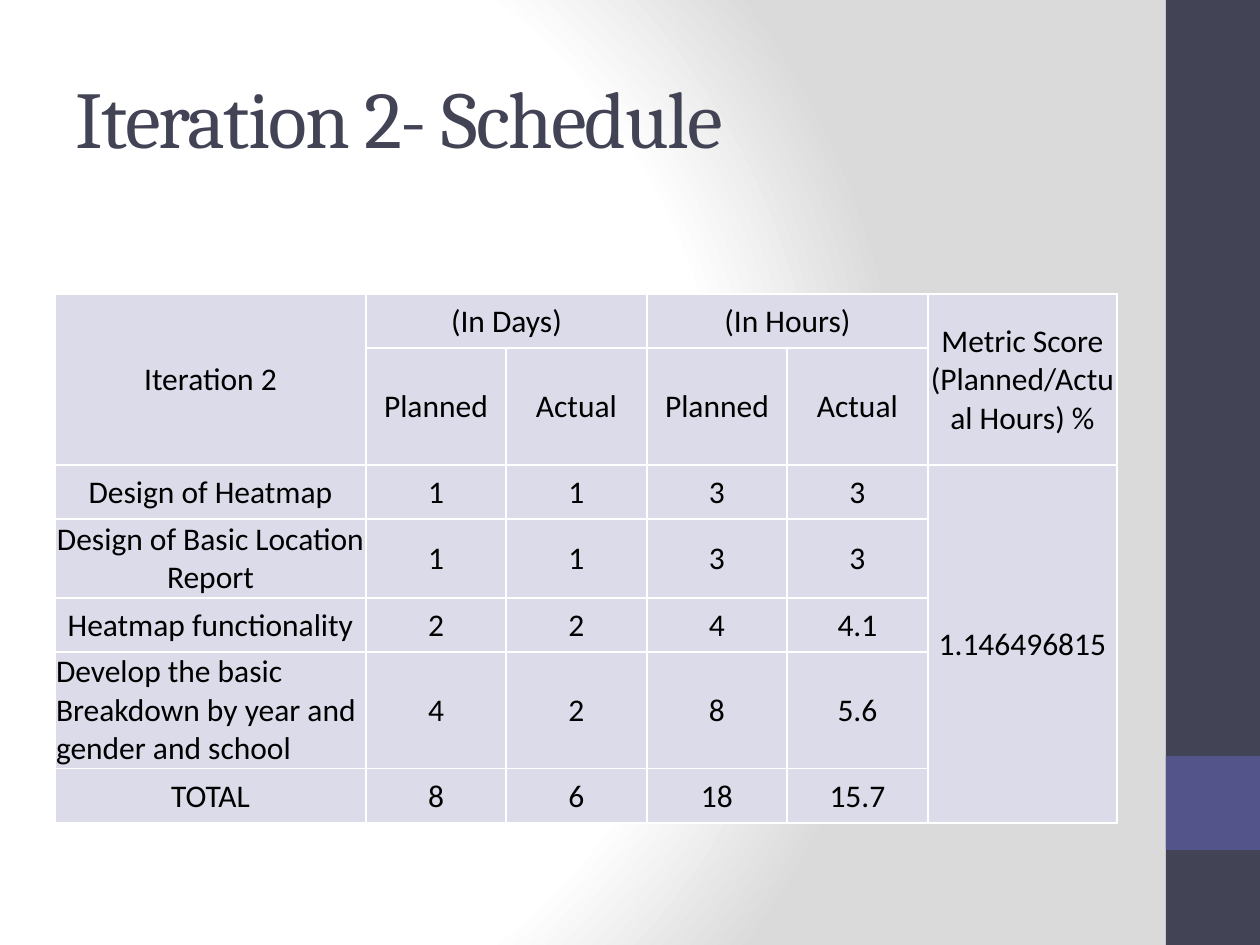
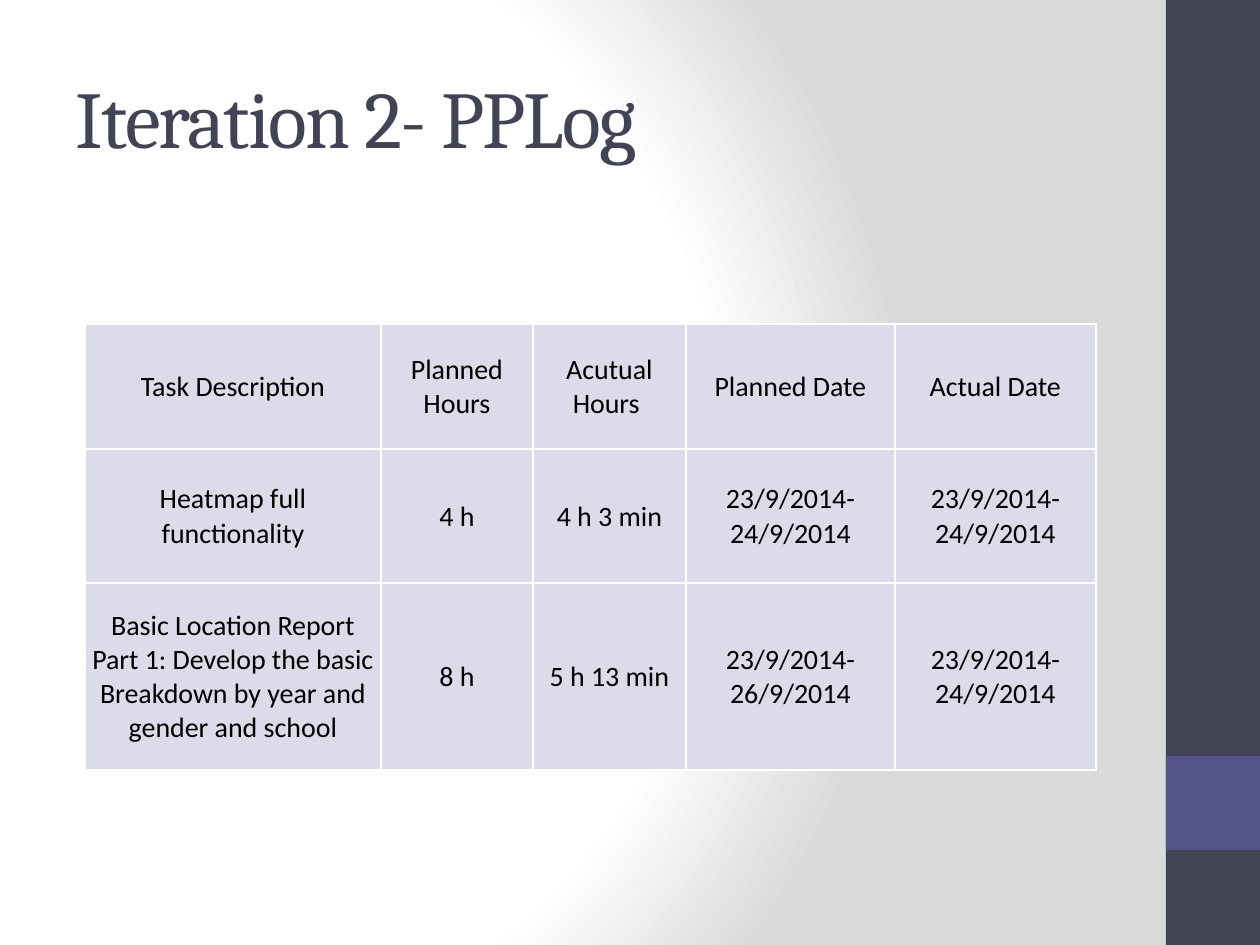
from pptx import Presentation
from pptx.dml.color import RGBColor
from pptx.enum.shapes import MSO_SHAPE as Preset
from pptx.enum.text import MSO_ANCHOR as Anchor, MSO_AUTO_SIZE as AutoSize, PP_ALIGN as Align
from pptx.oxml import parse_xml
from pptx.oxml.ns import nsdecls
from pptx.util import Pt

EMU_PER_PX = 914400 / 126
SLIDE_WIDTH, SLIDE_HEIGHT = 1260, 945
TITLE_ONLY_LAYOUT = 5
TITLE_FONT, TABLE_FONT = "Cambria", "Calibri"
COLORS = {
    "white": "FFFFFF",
    "shade": "DADADA",
    "slate": "424456",
    "indigo": "53548A",
    "cell": "DBDBE9",
    "text": "000000",
}

TITLE_BOX = (63, 38, 1050, 157)
SIDE_BAND = (1166, 0, 94, 945)

SCHEDULE_ROWS = [
    ["Iteration 2", "(In Days)", "", "(In Hours)", "", "Metric Score (Planned/Actual Hours) %"],
    ["", "Planned", "Actual", "Planned", "Actual", ""],
    ["Design of Heatmap", "1", "1", "3", "3", "1.146496815"],
    ["Design of Basic Location Report", "1", "1", "3", "3", ""],
    ["Heatmap functionality", "2", "2", "4", "4.1", ""],
    ["Develop the basic Breakdown by year and gender and school", "4", "2", "8", "5.6", ""],
    ["TOTAL", "8", "6", "18", "15.7", ""],
]
SCHEDULE_MERGES = [
    ((0, 0), (1, 0)),
    ((0, 1), (0, 2)),
    ((0, 3), (0, 4)),
    ((0, 5), (1, 5)),
    ((2, 5), (6, 5)),
]
LOG_ROWS = [
    ["Task Description", "Planned Hours", "Acutual Hours ", "Planned Date", "Actual Date"],
    ["Heatmap full functionality", "4 h", "4 h 3 min", "23/9/2014-24/9/2014", "23/9/2014-24/9/2014"],
    ["Basic Location Report Part 1: Develop the basic Breakdown by year and gender and school",
     "8 h", "5 h 13 min", "23/9/2014-26/9/2014", "23/9/2014-24/9/2014"],
]


def px(length):
    return round(length * EMU_PER_PX)


def rgb(name):
    return RGBColor.from_string(COLORS[name])


def paint_background(master):
    master.background.fill.solid()
    solid = master.element.xpath(".//p:bgPr/a:solidFill")[0]
    stops = "".join(
        f'<a:gs pos="{position * 1000}"><a:srgbClr val="{COLORS[name]}"/></a:gs>'
        for position, name in ((0, "white"), (75, "white"), (100, "shade"))
    )
    gradient = parse_xml(
        f'<a:gradFill {nsdecls("a")} rotWithShape="1"><a:gsLst>{stops}</a:gsLst>'
        '<a:path path="circle"><a:fillToRect l="20000" t="50000" r="100000" b="50000"/></a:path>'
        "</a:gradFill>"
    )
    solid.getparent().replace(solid, gradient)


def add_side_band(slide, box):
    left, top, width, height = box
    square_top = top + height - 2 * width - 1
    for band_top, band_height, color in ((top, height, "slate"), (square_top, width, "indigo")):
        band = slide.shapes.add_shape(
            Preset.RECTANGLE, px(left), px(band_top), px(width), px(band_height))
        band.shadow.inherit = False
        band.fill.solid()
        band.fill.fore_color.rgb = rgb(color)
        band.line.fill.background()


def set_title(slide, box, text):
    title = slide.shapes.title
    title.left, title.top, title.width, title.height = map(px, box)
    frame = title.text_frame
    frame.text = text
    frame.auto_size = AutoSize.NONE
    frame.vertical_anchor = Anchor.MIDDLE
    paragraph = frame.paragraphs[0]
    paragraph.alignment = Align.LEFT
    paragraph.font.name = TITLE_FONT
    paragraph.font.size = Pt(46)
    paragraph.font.color.rgb = rgb("slate")
    paragraph.runs[0].font._element.set("spc", "-100")


def format_cell(cell, size):
    cell.fill.solid()
    cell.fill.fore_color.rgb = rgb("cell")
    cell.margin_left = cell.margin_right = cell.margin_top = px(1)
    cell.margin_bottom = 0
    cell.vertical_anchor = Anchor.MIDDLE
    paragraph = cell.text_frame.paragraphs[0]
    paragraph.alignment = Align.CENTER
    paragraph.font.name = TABLE_FONT
    paragraph.font.size = Pt(size)
    paragraph.font.color.rgb = rgb("text")
    properties = cell._tc.get_or_add_tcPr()
    for index, side in enumerate("LRTB"):
        properties.insert(index, parse_xml(
            f'<a:ln{side} {nsdecls("a")} w="12700"><a:solidFill>'
            f'<a:srgbClr val="{COLORS["white"]}"/></a:solidFill></a:ln{side}>'))


def add_grid(slide, origin, widths, heights, rows, size, merges=()):
    left, top = origin
    table = slide.shapes.add_table(
        len(rows), len(widths), px(left), px(top), px(sum(widths)), px(sum(heights))).table
    table.first_row = table.horz_banding = False
    for column, width in zip(table.columns, widths):
        column.width = px(width)
    for row, height, texts in zip(table.rows, heights, rows):
        row.height = px(height)
        for cell, text in zip(row.cells, texts):
            cell.text = text
            format_cell(cell, size)
    for first, last in merges:
        table.cell(*first).merge(table.cell(*last))
    return table


def add_band_slide(presentation, title):
    slide = presentation.slides.add_slide(presentation.slide_layouts[TITLE_ONLY_LAYOUT])
    add_side_band(slide, SIDE_BAND)
    set_title(slide, TITLE_BOX, title)
    return slide


def build_schedule_slide(presentation):
    slide = add_band_slide(presentation, "Iteration 2- Schedule")
    table = add_grid(
        slide, (55, 294), [311, 140, 141, 140, 141, 189],
        [54, 117, 54, 79, 54, 116, 55], SCHEDULE_ROWS, 18, SCHEDULE_MERGES)
    breakdown = table.cell(5, 0)
    breakdown.vertical_anchor = Anchor.BOTTOM
    breakdown.text_frame.paragraphs[0].alignment = Align.LEFT


def build_log_slide(presentation):
    slide = add_band_slide(presentation, "Iteration 2- PPLog")
    add_grid(slide, (85, 324), [296, 152, 153, 209, 201], [125, 134, 187], LOG_ROWS, 16)


def main():
    presentation = Presentation()
    presentation.slide_width = px(SLIDE_WIDTH)
    presentation.slide_height = px(SLIDE_HEIGHT)
    paint_background(presentation.slide_master)
    build_schedule_slide(presentation)
    build_log_slide(presentation)
    presentation.save("out.pptx")


if __name__ == "__main__":
    main()
